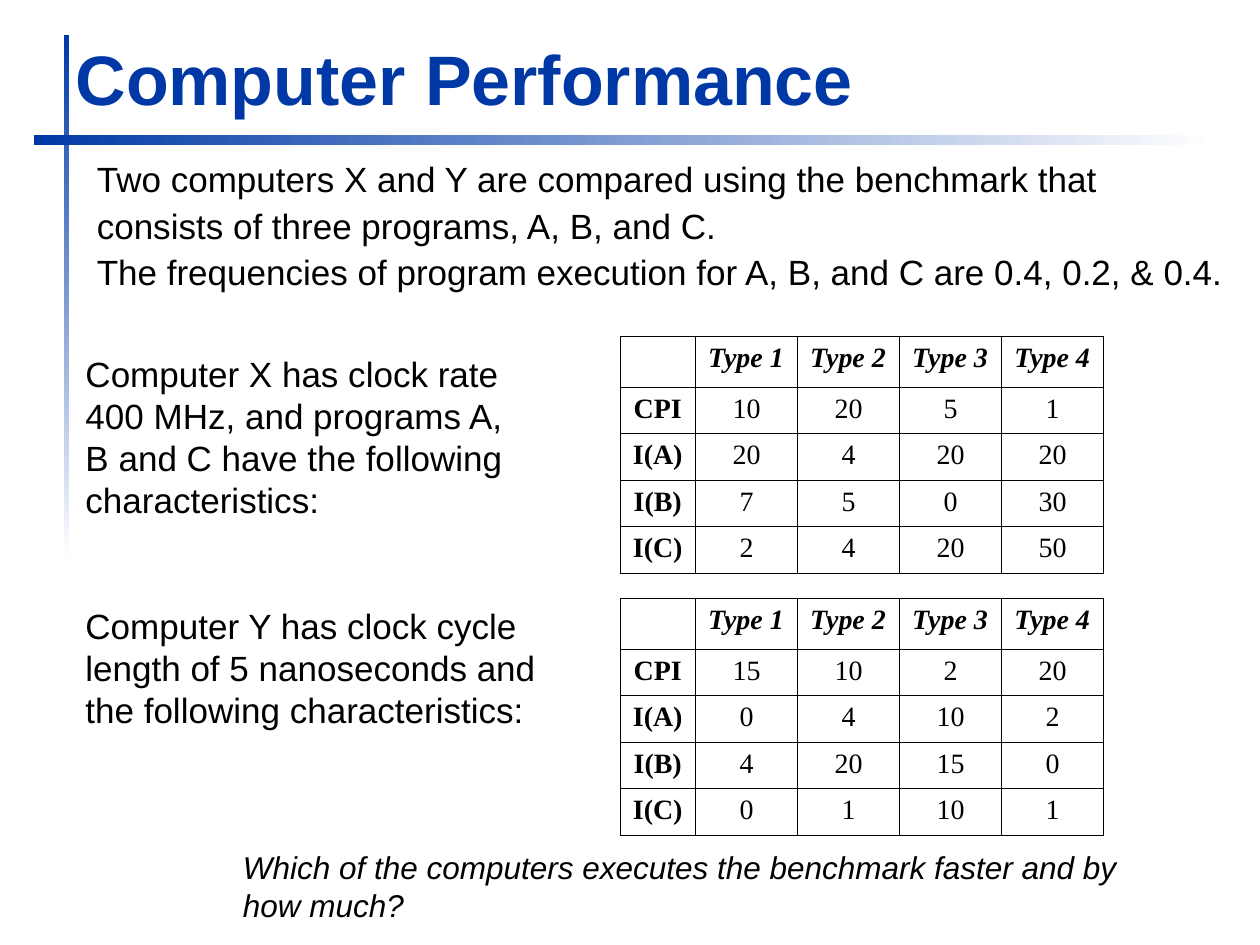
from dataclasses import dataclass

from lxml.etree import SubElement
from pptx import Presentation
from pptx.dml.color import RGBColor
from pptx.enum.shapes import MSO_SHAPE
from pptx.enum.text import MSO_ANCHOR, MSO_AUTO_SIZE, PP_ALIGN
from pptx.oxml.ns import qn
from pptx.slide import Slide
from pptx.table import _Cell
from pptx.util import Inches, Pt

BLUE = RGBColor(0x00, 0x39, 0xA6)
WHITE = RGBColor(0xFF, 0xFF, 0xFF)
BLACK = RGBColor(0x00, 0x00, 0x00)

TABLE_LEFT = 4.92
COLUMN_WIDTHS = [0.6] + [0.81] * 4
ROW_HEIGHTS = [0.4] + [0.37] * 4
HEADINGS = ["", "Type 1", "Type 2", "Type 3", "Type 4"]
ROW_LABELS = ["CPI", "I(A)", "I(B)", "I(C)"]


@dataclass
class Box:
    left: float
    top: float
    width: float
    height: float

    def lengths(self) -> list[int]:
        return [Inches(value) for value in (self.left, self.top, self.width, self.height)]


@dataclass
class GradientBar:
    box: Box
    angle: int


@dataclass
class TextBlock:
    box: Box
    paragraphs: list[str]
    size: int = 20
    italic: bool = False
    line_spacing: float = 1.0
    anchor: MSO_ANCHOR = MSO_ANCHOR.TOP


@dataclass
class ComputerTable:
    top: float
    values: list[list[int]]


BARS = [
    GradientBar(Box(0.51, 0.28, 0.04, 4.17), 270),
    GradientBar(Box(0.27, 1.07, 9.37, 0.08), 0),
]

TEXT_BLOCKS = [
    TextBlock(
        Box(0.67, 1.17, 9.17, 1.2),
        [
            "Two computers X and Y are compared using the benchmark that "
            "consists of three programs, A, B, and C.",
            "The frequencies of program execution for A, B, and C are 0.4, 0.2, & 0.4.",
        ],
        line_spacing=1.1,
        anchor=MSO_ANCHOR.MIDDLE,
    ),
    TextBlock(
        Box(0.58, 2.75, 3.75, 1.44),
        [
            "Computer X has clock rate 400 MHz, and programs A, B and C "
            "have the following characteristics:"
        ],
    ),
    TextBlock(
        Box(0.58, 4.75, 4, 1.44),
        [
            "Computer Y has clock cycle length of 5 nanoseconds and "
            "the following characteristics:"
        ],
    ),
    TextBlock(
        Box(1.83, 6.68, 7.31, 0.7),
        ["Which of the computers executes the benchmark faster and by how much?"],
        size=18,
        italic=True,
        anchor=MSO_ANCHOR.MIDDLE,
    ),
]

TABLES = [
    ComputerTable(2.67, [[10, 20, 5, 1], [20, 4, 20, 20], [7, 5, 0, 30], [2, 4, 20, 50]]),
    ComputerTable(4.75, [[15, 10, 2, 20], [0, 4, 10, 2], [4, 20, 15, 0], [0, 1, 10, 1]]),
]


def set_title(slide: Slide, text: str) -> None:
    title = slide.shapes.title
    title.left, title.top, title.width, title.height = Box(0.5, 0.23, 9, 0.77).lengths()
    text_frame = title.text_frame
    text_frame.text = text
    text_frame.auto_size = MSO_AUTO_SIZE.NONE
    text_frame.vertical_anchor = MSO_ANCHOR.BOTTOM
    paragraph = text_frame.paragraphs[0]
    paragraph.alignment = PP_ALIGN.LEFT
    font = paragraph.runs[0].font
    font.name, font.size, font.bold = "Arial", Pt(40), True
    font.color.rgb = BLUE


def add_bar(slide: Slide, bar: GradientBar) -> None:
    shape = slide.shapes.add_shape(MSO_SHAPE.RECTANGLE, *bar.box.lengths())
    shape.shadow.inherit = False
    shape.line.fill.background()
    shape.fill.gradient()
    shape.fill.gradient_angle = bar.angle
    for stop, color in zip(shape.fill.gradient_stops, (BLUE, WHITE)):
        stop.color.rgb = color


def add_text(slide: Slide, block: TextBlock) -> None:
    text_frame = slide.shapes.add_textbox(*block.box.lengths()).text_frame
    text_frame.word_wrap = True
    text_frame.vertical_anchor = block.anchor
    text_frame.text = "\n".join(block.paragraphs)
    for paragraph in text_frame.paragraphs:
        paragraph.line_spacing = block.line_spacing
        font = paragraph.runs[0].font
        font.name, font.size, font.italic = "Arial", Pt(block.size), block.italic
        font.color.rgb = BLACK


def add_borders(cell: _Cell) -> None:
    properties = cell._tc.get_or_add_tcPr()
    for position, side in enumerate(("lnL", "lnR", "lnT", "lnB")):
        line = SubElement(properties, qn(f"a:{side}"), w=str(Pt(0.45)))
        fill = SubElement(line, qn("a:solidFill"))
        SubElement(fill, qn("a:srgbClr"), val=str(BLACK))
        properties.insert(position, line)


def format_cell(cell: _Cell, is_heading: bool, is_label: bool) -> None:
    cell.fill.background()
    add_borders(cell)
    paragraph = cell.text_frame.paragraphs[0]
    paragraph.alignment = PP_ALIGN.LEFT if is_heading else PP_ALIGN.CENTER
    for run in paragraph.runs:
        font = run.font
        font.name, font.size = "Times New Roman", Pt(16)
        font.bold, font.italic = is_heading or is_label, is_heading
        font.color.rgb = BLACK


def add_computer_table(slide: Slide, computer: ComputerTable) -> None:
    box = Box(TABLE_LEFT, computer.top, sum(COLUMN_WIDTHS), sum(ROW_HEIGHTS))
    table = slide.shapes.add_table(
        len(ROW_HEIGHTS), len(COLUMN_WIDTHS), *box.lengths()
    ).table
    table.first_row = table.horz_banding = False
    for column, width in zip(table.columns, COLUMN_WIDTHS):
        column.width = Inches(width)
    for row, height in zip(table.rows, ROW_HEIGHTS):
        row.height = Inches(height)
    contents = [HEADINGS] + [
        [label, *values] for label, values in zip(ROW_LABELS, computer.values)
    ]
    for row_index, row_contents in enumerate(contents):
        for column_index, content in enumerate(row_contents):
            cell = table.cell(row_index, column_index)
            if content != "":
                cell.text_frame.text = str(content)
            format_cell(cell, row_index == 0, column_index == 0)


def main() -> None:
    presentation = Presentation()
    presentation.slide_width, presentation.slide_height = Inches(10), Inches(7.5)
    slide = presentation.slides.add_slide(presentation.slide_layouts[5])
    set_title(slide, "Computer Performance")
    for bar in BARS:
        add_bar(slide, bar)
    for block in TEXT_BLOCKS:
        add_text(slide, block)
    for computer in TABLES:
        add_computer_table(slide, computer)
    presentation.save("out.pptx")


if __name__ == "__main__":
    main()
